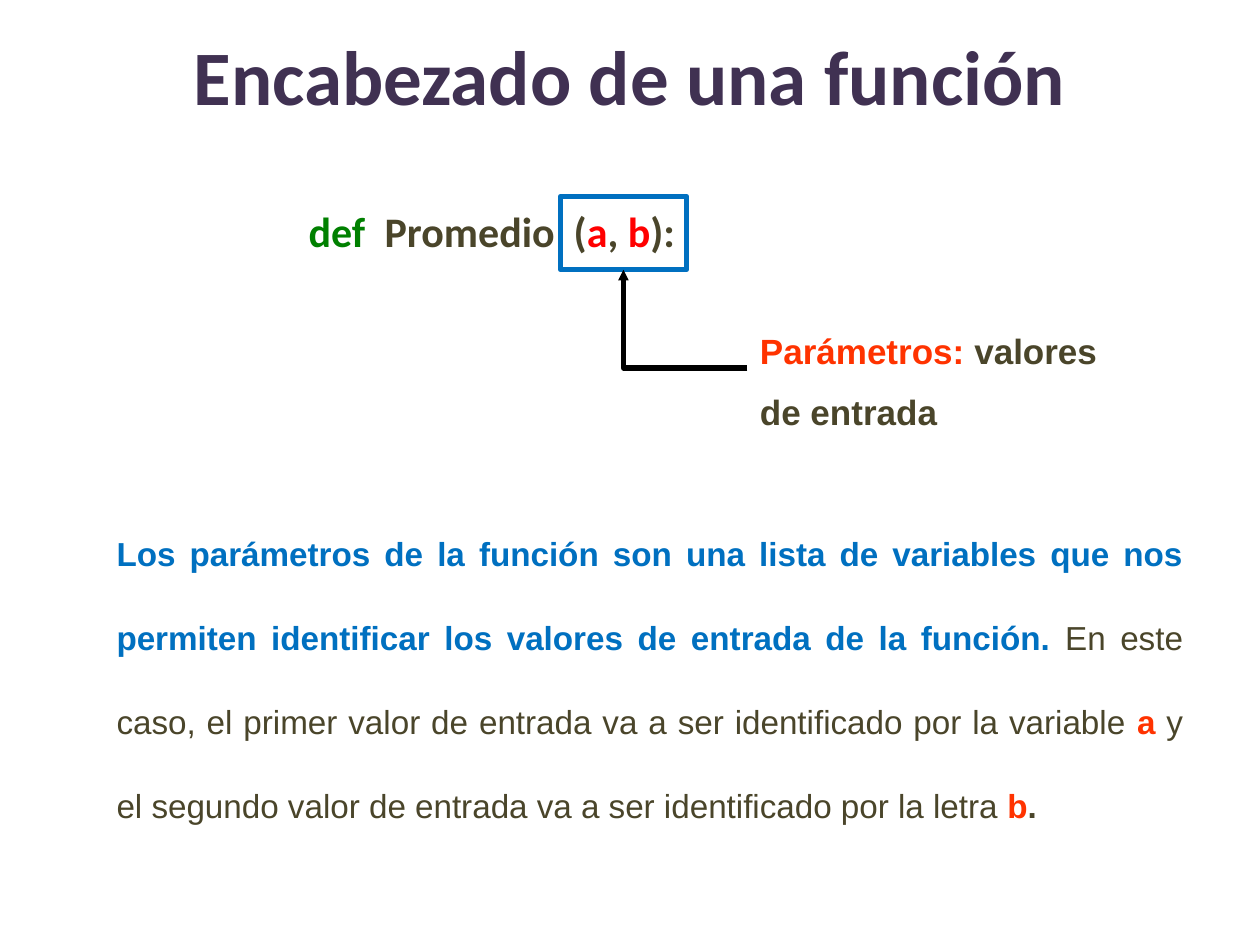
from lxml import etree
from pptx import Presentation
from pptx.dml.color import RGBColor
from pptx.enum.shapes import MSO_CONNECTOR, MSO_SHAPE
from pptx.enum.text import MSO_ANCHOR, PP_ALIGN
from pptx.oxml.ns import qn
from pptx.util import Cm, Pt

ELBOW = MSO_CONNECTOR.ELBOW
RECTANGLE = MSO_SHAPE.RECTANGLE
TOP, MIDDLE = MSO_ANCHOR.TOP, MSO_ANCHOR.MIDDLE
LEFT, CENTER, JUSTIFY = PP_ALIGN.LEFT, PP_ALIGN.CENTER, PP_ALIGN.JUSTIFY

COLORS = {
    "title": "403152",
    "text": "4A452A",
    "blue": "0070C0",
    "keyword": "008000",
    "argument": "FF0000",
    "accent": "FF3300",
    "arrow": "000000",
}


class SlideBuilder:
    """Holds the style and the current slide."""

    heading_font = "Calibri"
    body_font = "Arial"
    line_width = Pt(3)

    def __init__(self, slide):
        self.slide = slide

    def color(self, name):
        return RGBColor.from_string(COLORS[name])

    def fill_text(self, frame, parts, font, size, align=LEFT, anchor=TOP):
        """Fill a frame with (text, colour, bold) parts in one paragraph."""
        frame.word_wrap = True
        frame.vertical_anchor = anchor
        paragraph = frame.paragraphs[0]
        paragraph.alignment = align
        for text, color, bold in parts:
            run = paragraph.add_run()
            run.text = text
            run.font.name = font
            run.font.size = Pt(size)
            run.font.bold = bold
            run.font.color.rgb = self.color(color)
        return paragraph

    def title(self, text, left, top, width, height):
        title = self.slide.shapes.title
        title.left, title.top = Cm(left), Cm(top)
        title.width, title.height = Cm(width), Cm(height)
        self.fill_text(title.text_frame, [(text, "title", True)],
                       self.heading_font, 44, CENTER, MIDDLE)

    def text(self, parts, left, top, width, height, font, size, **layout):
        box = self.slide.shapes.add_textbox(
            Cm(left), Cm(top), Cm(width), Cm(height))
        return self.fill_text(box.text_frame, parts, font, size, **layout)

    def outline(self, left, top, width, height, color):
        frame = self.slide.shapes.add_shape(
            RECTANGLE, Cm(left), Cm(top), Cm(width), Cm(height))
        frame.shadow.inherit = False
        frame.fill.background()
        frame.line.color.rgb = self.color(color)
        frame.line.width = self.line_width

    def bent_arrow(self, start, end, color):
        """Draw one right-angle bend with a small arrowhead at the end."""
        arrow = self.slide.shapes.add_connector(
            ELBOW, *(Cm(value) for value in (*start, *end)))
        arrow.line.color.rgb = self.color(color)
        arrow.line.width = self.line_width
        properties = arrow._element.spPr
        properties.find(qn("a:prstGeom")).set("prst", "bentConnector2")
        etree.SubElement(properties.find(qn("a:ln")), qn("a:tailEnd"),
                         type="triangle", w="sm", len="sm")
        etree.SubElement(properties, qn("a:effectLst"))


def main():
    presentation = Presentation()
    presentation.slide_width, presentation.slide_height = Cm(25.4), Cm(19.05)
    title_only = presentation.slide_layouts[5]
    builder = SlideBuilder(presentation.slides.add_slide(title_only))

    builder.title("Encabezado de una función", 1.9, -0.08, 21.6, 3.18)

    # Explanation
    explanation = builder.text([
        ("Los parámetros de la función son una lista de variables que nos "
         "permiten identificar los valores de entrada de la función. ",
         "blue", True),
        ("En este caso, el primer valor de entrada va a ser identificado "
         "por la variable ", "text", False),
        ("a", "accent", True),
        (" y el segundo valor de entrada va a ser identificado por la "
         "letra ", "text", False),
        ("b", "accent", True),
        (".", "text", True),
    ], 2.1, 9.75, 22, 7.57, builder.body_font, 19, align=JUSTIFY)
    explanation.line_spacing = 2.1
    explanation.space_before = Pt(12)

    # Function header
    header = builder.text([
        ("def", "keyword", True),
        ("  ", "keyword", True),
        ("Promedio  (", "text", True),
        ("a", "argument", True),
        (", ", "text", True),
        ("b", "argument", True),
        ("):", "text", True),
    ], 5.97, 4.01, 12.9, 1.27, builder.heading_font, 24, anchor=MIDDLE)
    gap = header.runs[1].font
    gap.name, gap.size = builder.body_font, Pt(20)

    # Parameters: frame, label and arrow
    builder.outline(11.3, 3.96, 2.54, 1.48, "blue")
    label = builder.text([
        ("Parámetros: ", "accent", True),
        ("valores de entrada", "text", True),
    ], 15.07, 6.12, 7.62, 2.6, builder.body_font, 20)
    label.line_spacing = Pt(35)
    builder.bent_arrow((15.07, 7.42), (12.57, 5.44), "arrow")

    presentation.save("out.pptx")


if __name__ == "__main__":
    main()
